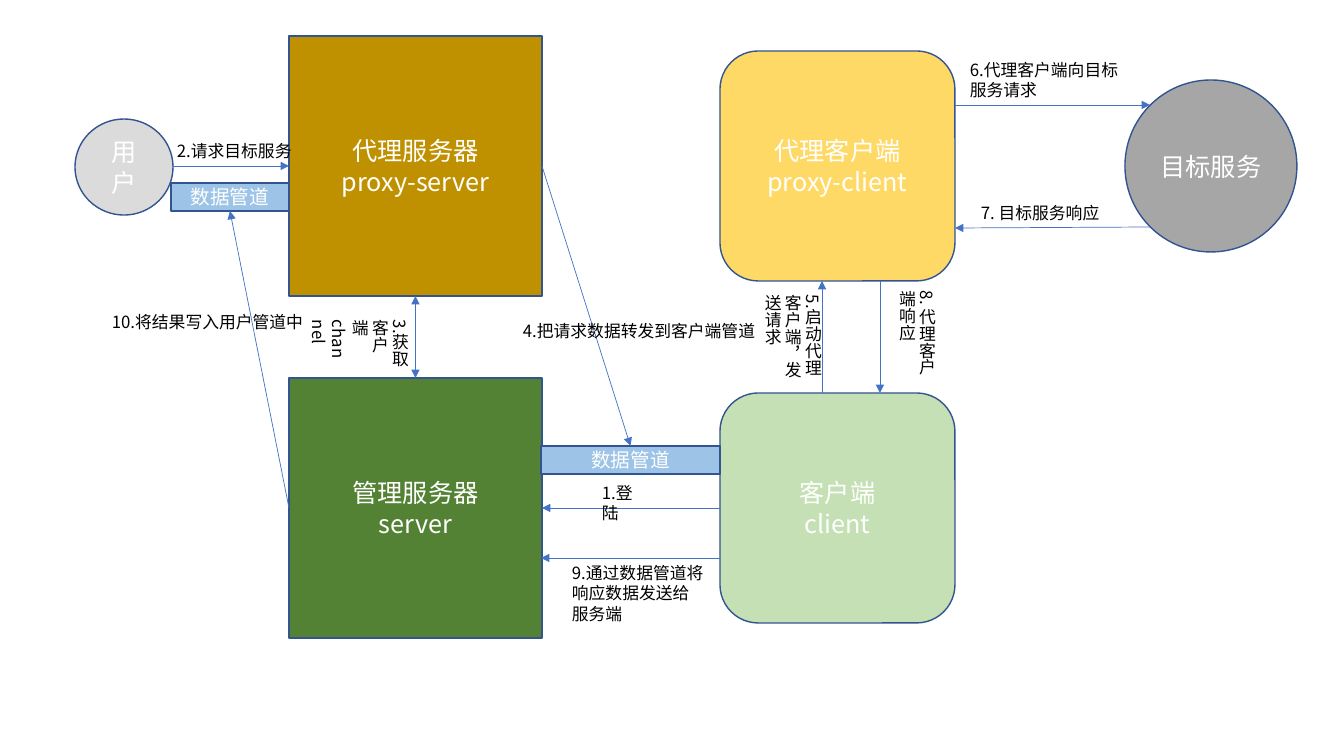
from lxml.etree import SubElement
from pptx import Presentation
from pptx.dml.color import RGBColor
from pptx.enum.shapes import MSO_CONNECTOR, MSO_SHAPE as SHAPE
from pptx.enum.text import MSO_ANCHOR, MSO_AUTO_SIZE, PP_ALIGN
from pptx.oxml.ns import qn
from pptx.util import Emu, Pt

PX = 914400 / 100.8
FONT = "Noto Sans CJK SC"
COLORS = {
    "outline": "325491", "arrow": "4472C4", "white": "FFFFFF", "black": "000000",
    "user": "DBDBDB", "server": "548235", "client": "C5E0B4",
    "proxy_server": "BF9000", "proxy_client": "FFD966", "target": "A6A6A6",
    "pipe": "9DC3E6",
}
TOP, LEFT, BOTTOM, RIGHT = range(4)

NODES = [
    ("user", "用户", SHAPE.OVAL, "user", 18, (75, 119, 98, 96)),
    ("server", "管理服务器\nserver", SHAPE.RECTANGLE, "server", 18, (289, 378, 253, 260)),
    ("client", "客户端\nclient", SHAPE.ROUNDED_RECTANGLE, "client", 18, (720, 393, 235, 230)),
    ("proxy_server", "代理服务器\nproxy-server", SHAPE.RECTANGLE, "proxy_server", 18,
     (289, 36, 253, 260)),
    ("proxy_client", "代理客户端\nproxy-client", SHAPE.ROUNDED_RECTANGLE, "proxy_client", 18,
     (720, 51, 235, 230)),
    ("target", "目标服务", SHAPE.OVAL, "target", 18, (1125, 80, 172, 172)),
    ("client_pipe", "数据管道", SHAPE.RECTANGLE, "pipe", 14, (541, 446, 179, 28)),
    ("user_pipe", "数据管道", SHAPE.RECTANGLE, "pipe", 14, (171, 183, 118, 28)),
]

FLOWS = [
    (("client", LEFT), ("server", RIGHT), False),
    ((173, 166), ("proxy_server", LEFT), False),
    (("proxy_server", BOTTOM), ("server", TOP), True),
    (("proxy_server", RIGHT), ("client_pipe", TOP), False),
    ((822, 393), (822, 281), False),
    ((955, 105), (1150, 105), False),
    ((1150, 227), (955, 228), False),
    ((880, 281), (880, 393), False),
    ((720, 558), (541, 558), False),
    (("server", LEFT), ("user_pipe", BOTTOM), False),
]

LABELS = [
    ("1.登陆", (592, 478, 66, 30), False),
    ("2.请求目标服务", (167, 136, 135, 30), False),
    ("3.获取客户端channel", (334, 310, 81, 68), True),
    ("4.把请求数据转发到客户端管道", (513, 316, 254, 30), False),
    ("5.启动代理客户端，发送请求", (746, 285, 82, 111), True),
    ("6.代理客户端向目标服务请求", (960, 55, 180, 50), False),
    ("7. 目标服务响应", (971, 198, 180, 30), False),
    ("8. 代理客户端响应", (881, 281, 61, 111), True),
    ("9.通过数据管道将响应数据发送给服务端", (562, 558, 154, 72), False),
    ("10.将结果写入用户管道中", (102, 307, 212, 30), False),
]


def emu(*pixels):
    return [Emu(round(v * PX)) for v in pixels]


def rgb(name):
    return RGBColor.from_string(COLORS[name])


def write(tf, text, size, color, align):
    tf.word_wrap = True
    tf.text = text
    for p in tf.paragraphs:
        p.alignment = align
        p.font.size = Pt(size)
        p.font.color.rgb = rgb(color)
        p.font.name = FONT
        defaults = p._p.get_or_add_pPr().find(qn("a:defRPr"))
        SubElement(defaults, qn("a:ea")).set("typeface", FONT)


def add_node(slide, text, kind, fill, size, box):
    sp = slide.shapes.add_shape(kind, *emu(*box))
    sp.shadow.inherit = False
    sp.fill.solid()
    sp.fill.fore_color.rgb = rgb(fill)
    sp.line.color.rgb = rgb("outline")
    sp.line.width = Pt(1)
    sp.text_frame.vertical_anchor = MSO_ANCHOR.MIDDLE
    write(sp.text_frame, text, size, "white", PP_ALIGN.CENTER)
    return sp


def add_flow(slide, nodes, start, end, both_ways):
    glued = [isinstance(point[0], str) for point in (start, end)]
    points = [(0, 0) if g else point for g, point in zip(glued, (start, end))]
    line = slide.shapes.add_connector(MSO_CONNECTOR.STRAIGHT, *emu(*points[0], *points[1]))
    if glued[0]:
        line.begin_connect(nodes[start[0]], start[1])
    if glued[1]:
        line.end_connect(nodes[end[0]], end[1])
    line.line.color.rgb = rgb("arrow")
    line.line.width = Pt(0.5)
    ln = line.line._get_or_add_ln()
    for tag in ("a:headEnd", "a:tailEnd") if both_ways else ("a:tailEnd",):
        SubElement(ln, qn(tag)).set("type", "triangle")
    SubElement(line._element.spPr, qn("a:effectLst"))


def add_label(slide, text, box, vertical):
    tf = slide.shapes.add_textbox(*emu(*box)).text_frame
    write(tf, text, 12, "black", PP_ALIGN.LEFT)
    tf.auto_size = MSO_AUTO_SIZE.SHAPE_TO_FIT_TEXT
    if vertical:
        tf._txBody.bodyPr.set("vert", "eaVert")


prs = Presentation()
prs.slide_width, prs.slide_height = emu(1344, 756)
slide = prs.slides.add_slide(prs.slide_layouts[6])
nodes = {name: add_node(slide, *details) for name, *details in NODES}
for flow in FLOWS:
    add_flow(slide, nodes, *flow)
for label in LABELS:
    add_label(slide, *label)
prs.save("out.pptx")
